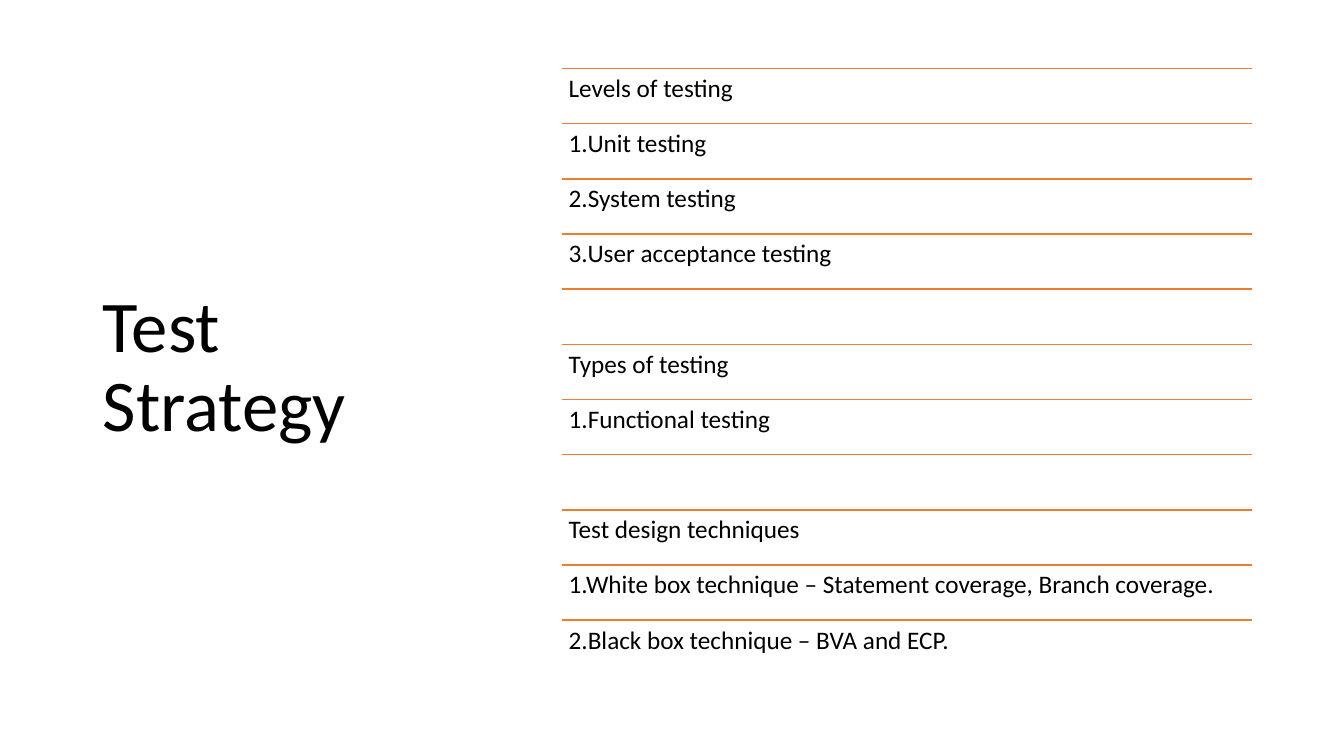
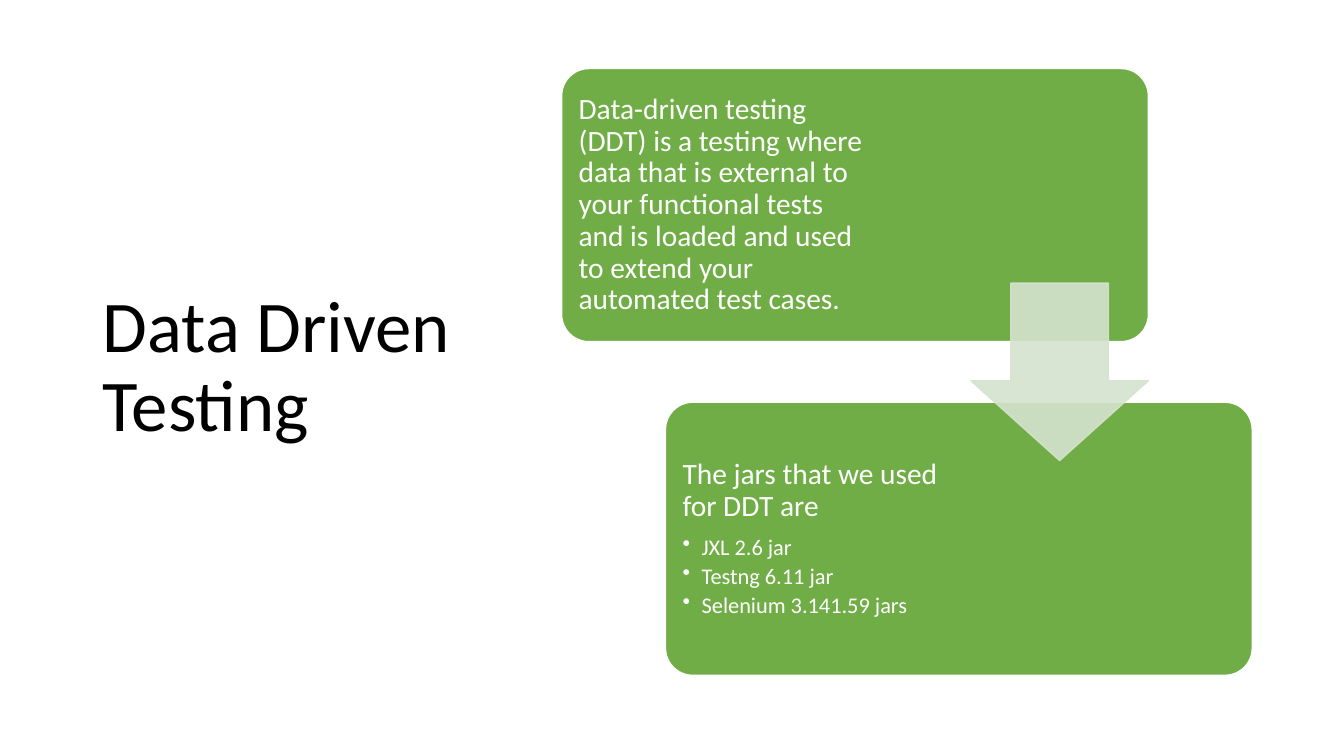
from lxml import etree
from pptx import Presentation
from pptx import util as u
from pptx.dml import color
from pptx.enum import shapes, text
from pptx.oxml import ns

FONT = "Calibri"
BLACK, WHITE, ORANGE, GREEN, PALE = "000000", "FFFFFF", "ED7D31", "70AD47", "D5E3CF"
LEFT, TOP, RIGHT, BOTTOM = 5.57, 0.68, 12.42, 6.70
STRATEGY = [
    "Levels of testing", "1.Unit testing", "2.System testing", "3.User acceptance testing", "",
    "Types of testing", "1.Functional testing", "",
    "Test design techniques",
    "1.White box technique – Statement coverage, Branch coverage.",
    "2.Black box technique – BVA and ECP.",
]
DEFINITION = ("Data-driven testing (DDT) is a testing where data that is external to your functional "
              "tests and is loaded and used to extend your automated test cases.")
JARS = ["JXL 2.6 jar", "Testng 6.11 jar", "Selenium 3.141.59 jars"]


def rgb(value):
    """Turn a hex string into a colour."""
    return color.RGBColor.from_string(value)


def apply(target, values):
    """Set attributes of an object from a dict."""
    for name, value in values.items():
        setattr(target, name, value)


def box(left, top, width, height):
    """Return a position and size in inches."""
    return [u.Inches(value) for value in (left, top, width, height)]


def set_frame(frame, anchor, inset, right=None):
    """Set wrapping, anchor and margins of a text frame."""
    margin = u.Inches(inset)
    apply(frame, {
        "word_wrap": True, "auto_size": text.MSO_AUTO_SIZE.NONE, "vertical_anchor": anchor,
        "margin_left": margin, "margin_top": margin, "margin_bottom": margin,
        "margin_right": margin if right is None else u.Inches(right),
    })


def write(paragraph, words, size, hex_color, after=0, bullet=False):
    """Fill and format one paragraph."""
    paragraph.text = words
    apply(paragraph, {"alignment": text.PP_ALIGN.LEFT, "line_spacing": 0.9,
                      "space_after": u.Pt(after)})
    if bullet:
        properties = paragraph._p.get_or_add_pPr()
        indent = u.Inches(0.19)
        properties.set("marL", str(indent))
        properties.set("indent", str(-indent))
        etree.SubElement(properties, ns.qn("a:buChar")).set("char", "•")
    apply(paragraph.font, {"size": u.Pt(size), "name": FONT})
    paragraph.font.color.rgb = rgb(hex_color)


def add_titled_slide(presentation, title):
    """Add a slide with its title on the left."""
    slide = presentation.slides.add_slide(presentation.slide_layouts[5])
    shape = slide.shapes.title
    apply(shape, dict(zip(("left", "top", "width", "height"), box(0.92, 0.61, 3.69, 6.09))))
    set_frame(shape.text_frame, text.MSO_ANCHOR.MIDDLE, 0.1)
    write(shape.text_frame.paragraphs[0], title, 52, BLACK)
    return slide


def add_rule(slide, top):
    """Draw a thin horizontal rule."""
    rule = slide.shapes.add_connector(
        shapes.MSO_CONNECTOR.STRAIGHT,
        *(u.Inches(value) for value in (LEFT, top, RIGHT, top)))
    rule.line.color.rgb = rgb(ORANGE)
    rule.line.width = u.Pt(1)
    etree.SubElement(rule._element.spPr, ns.qn("a:effectLst"))


def add_ruled_list(slide, rows):
    """Stack rows of text, each under a rule."""
    pitch = (BOTTOM - TOP) / len(rows)
    for index, words in enumerate(rows):
        top = TOP + index * pitch
        add_rule(slide, top)
        if words:
            label = slide.shapes.add_textbox(*box(LEFT, top, RIGHT - LEFT, pitch))
            set_frame(label.text_frame, text.MSO_ANCHOR.TOP, 0.07)
            write(label.text_frame.paragraphs[0], words, 18, BLACK)


def add_filled_shape(slide, kind, place, adjustments, fill, line):
    """Add a preset shape with a fill and a thin outline."""
    shape = slide.shapes.add_shape(kind, *box(*place))
    shape.shadow.inherit = False
    for index, value in enumerate(adjustments):
        shape.adjustments[index] = value
    shape.fill.solid()
    shape.fill.fore_color.rgb = rgb(fill)
    shape.line.color.rgb = rgb(line)
    shape.line.width = u.Pt(1)
    return shape


def add_card(slide, left, top, right_inset, heading, bullets=()):
    """Add a rounded card with a heading and optional bullets."""
    card = add_filled_shape(slide, shapes.MSO_SHAPE.ROUNDED_RECTANGLE,
                            (left, top, 5.82, 2.71), [0.1], GREEN, WHITE)
    frame = card.text_frame
    set_frame(frame, text.MSO_ANCHOR.MIDDLE, 0.09, right_inset)
    write(frame.paragraphs[0], heading, 21, WHITE, after=9)
    for words in bullets:
        write(frame.add_paragraph(), words, 16, WHITE, after=3.5, bullet=True)


def add_flow_arrow(slide):
    """Add the translucent arrow between the cards."""
    arrow = add_filled_shape(slide, shapes.MSO_SHAPE.DOWN_ARROW,
                             (9.63, 2.81, 1.76, 1.76), [0.55, 0.45], PALE, PALE)
    for swatch in arrow._element.spPr.iter(ns.qn("a:srgbClr")):
        etree.SubElement(swatch, ns.qn("a:alpha")).set("val", "90000")


def main():
    """Build and save the presentation."""
    presentation = Presentation()
    apply(presentation, {"slide_width": u.Inches(13.33), "slide_height": u.Inches(7.5)})

    add_ruled_list(add_titled_slide(presentation, "Test Strategy"), STRATEGY)

    slide = add_titled_slide(presentation, "Data Driven Testing")
    add_card(slide, LEFT, TOP, 2.73, DEFINITION)
    add_card(slide, 6.6, 3.99, 2.87, "The jars that we used for DDT are", JARS)
    add_flow_arrow(slide)

    presentation.save("out.pptx")


if __name__ == "__main__":
    main()
